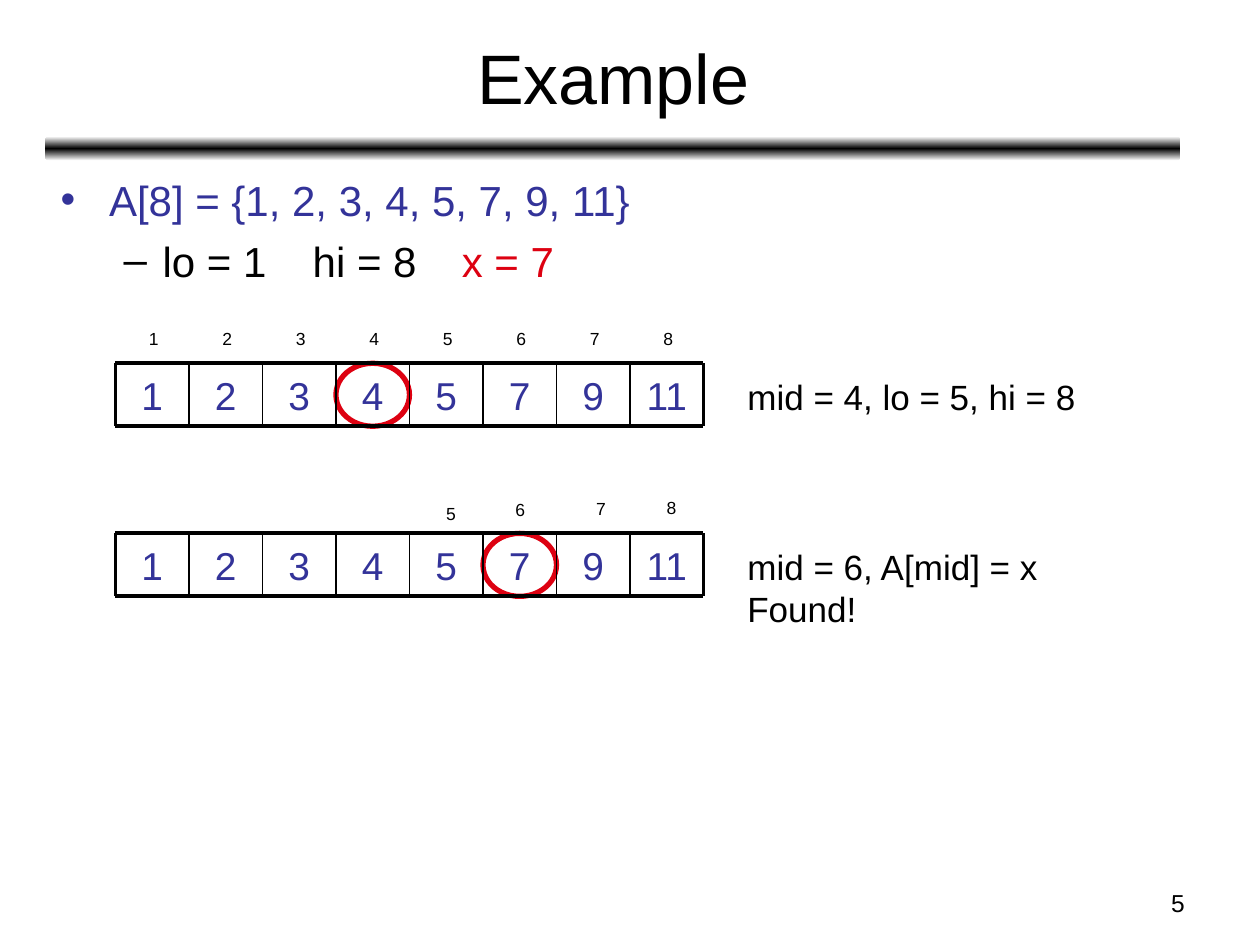
import copy

import pptx
import pptx.dml.color
import pptx.enum.shapes
import pptx.enum.text
import pptx.oxml
import pptx.oxml.ns
import pptx.util

PX = 7620
COLORS = {"black": "000000", "white": "FFFFFF", "blue": "333399", "red": "DD0111"}
FONT = "Arial"

TITLE = "Example"
PAGE = "5"
BULLETS = [
    {"runs": [("A[8] = {1, 2, 3, 4, 5, 7, 9, 11}", "blue")],
     "bullet": "•", "margin": 46, "hang": 46, "tabs": []},
    {"runs": [("lo = 1\thi = 8\t", "black"), ("x = 7", "red")],
     "bullet": "–", "margin": 97, "hang": 37, "tabs": [240, 382]},
]
VALUES = [1, 2, 3, 4, 5, 7, 9, 11]
STEPS = [
    {"top": 346, "mid": 4, "note": "mid = 4, lo = 5, hi = 8", "note_size": (360, 53),
     "indexes": [(i + 1, 130 + 70 * i, 306) for i in range(8)]},
    {"top": 508, "mid": 6, "note": "mid = 6, A[mid] = x\nFound!", "note_size": (410, 92),
     "indexes": [(5, 413, 473), (6, 479, 469), (7, 556, 468), (8, 623, 467)]},
]
LEFT, CELL_W, CELL_H = 110, 70, 60
NOTE_LEFT, NOTE_DROP = 700, 6

ALIGN = pptx.enum.text.PP_ALIGN
ANCHOR = pptx.enum.text.MSO_ANCHOR
SHAPE = pptx.enum.shapes.MSO_SHAPE


def px(n):
    return pptx.util.Emu(round(n * PX))


def rgb(name):
    return pptx.dml.color.RGBColor.from_string(COLORS[name])


def add_runs(p, text, size=20, color="black"):
    for i, line in enumerate(text.split("\n")):
        if i:
            p.add_line_break()
        r = p.add_run()
        r.text = line
        r.font.name = FONT
        r.font.size = pptx.util.Pt(size)
        r.font.color.rgb = rgb(color)


def add_text(s, text, x, y, w, h, size=20, color="black", align=ALIGN.LEFT,
             anchor=ANCHOR.TOP, before=0):
    tf = s.shapes.add_textbox(px(x), px(y), px(w), px(h)).text_frame
    tf.word_wrap = True
    tf.vertical_anchor = anchor
    p = tf.paragraphs[0]
    p.alignment = align
    p.space_before = pptx.util.Pt(before)
    if text:
        add_runs(p, text, size, color)
    return tf


def add_line(s, x1, y1, x2, y2, width):
    line = s.shapes.add_connector(
        pptx.enum.shapes.MSO_CONNECTOR.STRAIGHT, px(x1), px(y1), px(x2), px(y2))
    line.line.color.rgb = rgb("black")
    line.line.width = pptx.util.Pt(width)
    pptx.oxml.ns.qn("a:effectLst")
    line._element.spPr.append(
        line._element.spPr.makeelement(pptx.oxml.ns.qn("a:effectLst"), {}))


def add_bar(s):
    bar = s.shapes.add_shape(SHAPE.ROUNDED_RECTANGLE, px(43), px(130), px(1081), px(23))
    bar.shadow.inherit = False
    bar.line.fill.background()
    bar.fill.gradient()
    bar.fill.gradient_angle = 90
    stops = bar._element.spPr.find(".//" + pptx.oxml.ns.qn("a:gsLst"))
    stops.append(copy.deepcopy(stops[0]))
    for stop, pos, color in zip(bar.fill.gradient_stops, (0, 0.5, 1),
                                ("white", "black", "white")):
        stop.position = pos
        stop.color.rgb = rgb(color)


def add_bullets(s):
    tf = add_text(s, "", 46, 160, 1084, 181)
    for i, item in enumerate(BULLETS):
        p = tf.add_paragraph() if i else tf.paragraphs[0]
        p.level = i
        p.space_before = pptx.util.Pt(6)
        for text, color in item["runs"]:
            add_runs(p, text, 24, color)
        pPr = p._p.get_or_add_pPr()
        pPr.set("marL", str(px(item["margin"])))
        pPr.set("indent", str(-px(item["hang"])))
        tabs = "".join(f'<a:tab pos="{px(t)}" algn="l"/>' for t in item["tabs"])
        marks = pptx.oxml.parse_xml(
            f'<a:pPr {pptx.oxml.ns.nsdecls("a")}>'
            f'<a:buClr><a:srgbClr val="{COLORS[item["runs"][0][1]]}"/></a:buClr>'
            f'<a:buFont typeface="{FONT}"/><a:buChar char="{item["bullet"]}"/>'
            f'<a:tabLst>{tabs}</a:tabLst></a:pPr>')
        pPr.extend(list(marks))


def add_step(s, step):
    top, bottom = step["top"], step["top"] + CELL_H
    count = len(VALUES)
    right = LEFT + count * CELL_W
    add_text(s, step["note"], NOTE_LEFT, top + NOTE_DROP, *step["note_size"])

    ring = s.shapes.add_shape(SHAPE.OVAL, px(LEFT + (step["mid"] - 1) * CELL_W), px(top),
                              px(CELL_W), px(CELL_H))
    ring.shadow.inherit = False
    ring.fill.background()
    ring.line.color.rgb = rgb("red")
    ring.line.width = pptx.util.Pt(3)

    for i, value in enumerate(VALUES):
        add_text(s, str(value), LEFT + i * CELL_W, top, CELL_W, CELL_H, size=22.2,
                 color="blue", align=ALIGN.CENTER, anchor=ANCHOR.MIDDLE, before=6)
    for y in (top, bottom):
        add_line(s, LEFT, y, right, y, 2.25)
    for i in range(count + 1):
        x = LEFT + i * CELL_W
        add_line(s, x, top, x, bottom, 2.25 if i in (0, count) else 1)
    for index, x, y in step["indexes"]:
        add_text(s, str(index), x, y, 30, 32, size=10)


def main():
    prs = pptx.Presentation()
    prs.slide_width, prs.slide_height = px(1200), px(900)
    s = prs.slides.add_slide(prs.slide_layouts[6])
    add_bar(s)
    add_text(s, PAGE, 860, 840, 280, 42, size=14, align=ALIGN.RIGHT)
    add_text(s, TITLE, 44, 13, 1080, 119, size=40, align=ALIGN.CENTER, anchor=ANCHOR.MIDDLE)
    add_bullets(s)
    for step in STEPS:
        add_step(s, step)
    prs.save("out.pptx")


if __name__ == "__main__":
    main()
